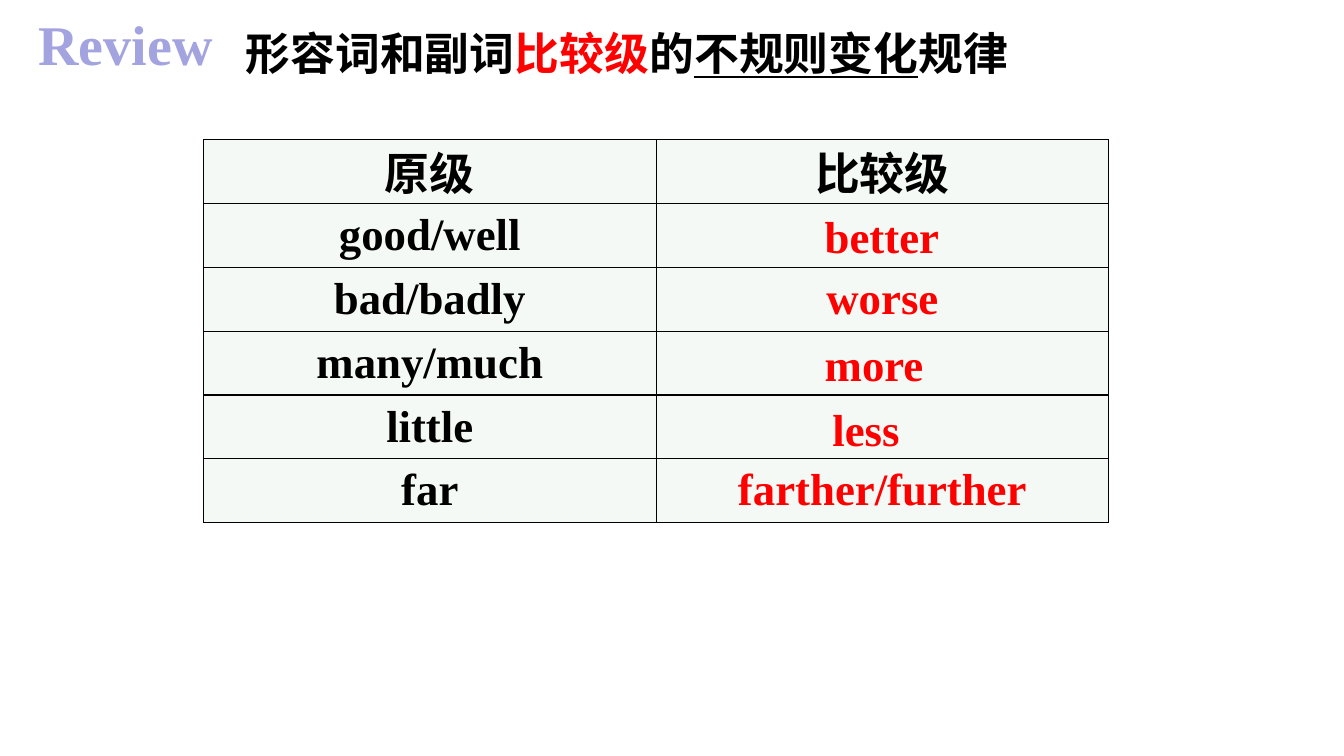
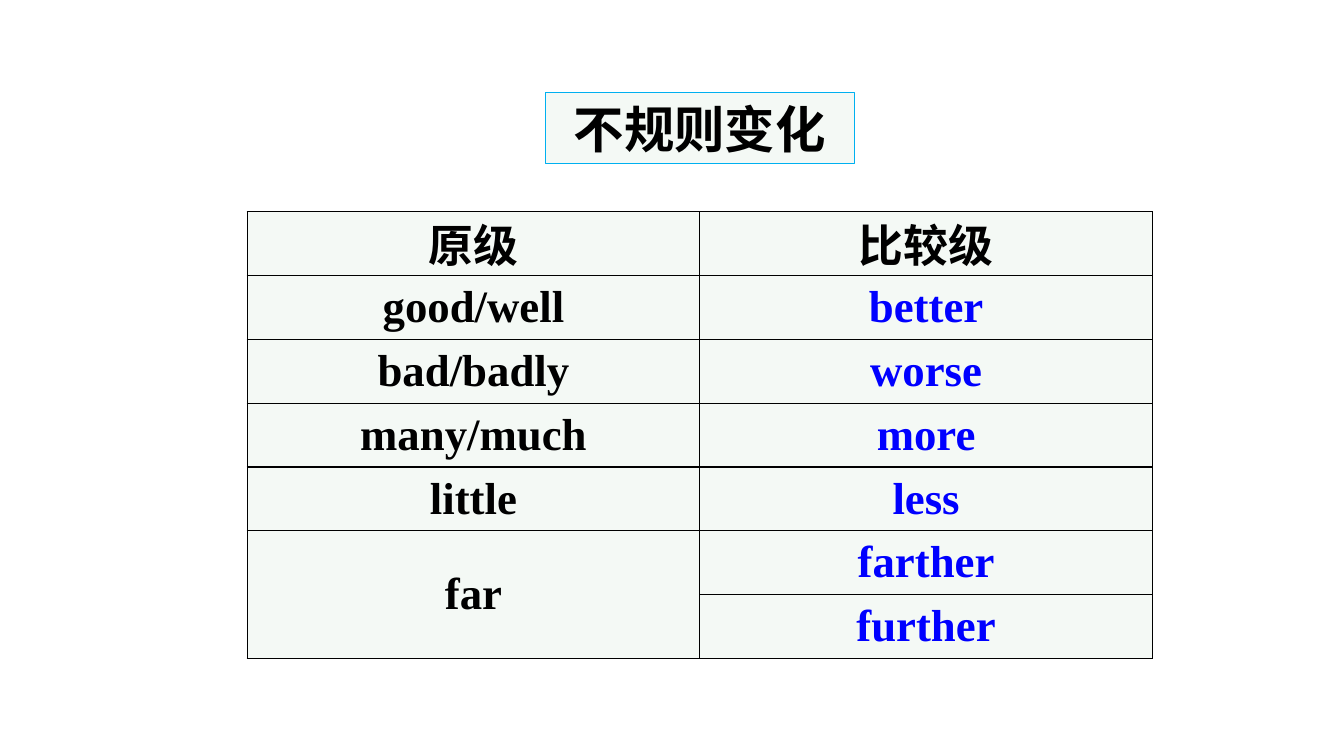
from dataclasses import dataclass
from pptx import Presentation
from pptx.dml.color import RGBColor as RGB
from pptx.enum.text import MSO_ANCHOR as ANCHOR, MSO_AUTO_SIZE as AUTO, PP_ALIGN as ALIGN
from pptx.oxml import parse_xml
from pptx.util import Pt

NS = 'xmlns:a="http://schemas.openxmlformats.org/drawingml/2006/main"'


# Colours, type sizes and table grid
@dataclass(frozen=True)
class Theme:
    font: str = "Times New Roman"
    black: str = "000000"
    red: str = "FF0000"
    blue: str = "0000FF"
    lilac: str = "A3A3E0"
    navy: str = "333399"
    pale: str = "F4F9F5"
    sky: str = "00B0F0"
    body: int = 32
    box: int = 36
    label: int = 40
    col: float = 323.3
    row: float = 45.6
    head_line: float = 36.8


T = Theme()


def line_xml(tag, color, width):
    return parse_xml(f'<a:{tag} {NS} w="{Pt(width)}"><a:solidFill>'
                     f'<a:srgbClr val="{color}"/></a:solidFill></a:{tag}>')


class Deck:
    def __init__(self):
        self.prs = Presentation()
        self.prs.slide_width, self.prs.slide_height = Pt(960), Pt(540)
        self.s = None

    def slide(self):
        self.s = self.prs.slides.add_slide(self.prs.slide_layouts[5])

    def run(self, p, text, color=T.black, size=T.body, underline=False):
        r = p.add_run()
        r.text = text
        f = r.font
        f.name, f.size, f.bold = T.font, Pt(size), True
        f.color.rgb = RGB.from_string(color)
        if underline:
            f.underline = True
        return r

    def frame(self, sp, runs, align, anchor, wrap=True):
        tf = sp.text_frame
        tf.word_wrap, tf.auto_size, tf.vertical_anchor = wrap, AUTO.NONE, anchor
        p = tf.paragraphs[0]
        p.alignment = align
        return [self.run(p, *args) for args in runs]

    def title(self, x, y, w, h, runs, align=ALIGN.LEFT):
        sp = self.s.shapes.title
        sp.left, sp.top, sp.width, sp.height = Pt(x), Pt(y), Pt(w), Pt(h)
        self.frame(sp, runs, align, ANCHOR.MIDDLE)
        return sp

    def text(self, x, y, w, h, runs, wrap=True):
        sp = self.s.shapes.add_textbox(Pt(x), Pt(y), Pt(w), Pt(h))
        return self.frame(sp, runs, ALIGN.LEFT, ANCHOR.TOP, wrap)

    def table(self, x, y, rows, accent):
        n = len(rows)
        tbl = self.s.shapes.add_table(n, 2, Pt(x), Pt(y), Pt(2 * T.col), Pt(n * T.row)).table
        for col in tbl.columns:
            col.width = Pt(T.col)
        for i, words in enumerate(rows):
            tbl.rows[i].height = Pt(T.row)
            for j, word in enumerate(words):
                cell = tbl.cell(i, j)
                self.cell(cell, word, accent if i and j else T.black)
                if i == 0:
                    # Fixed line height keeps the header as tall as the other rows
                    cell.margin_top, cell.margin_bottom = Pt(T.row - T.head_line), 0
                    cell.text_frame.paragraphs[0].line_spacing = Pt(T.head_line)
        return tbl

    def cell(self, cell, word, color):
        cell.fill.solid()
        cell.fill.fore_color.rgb = RGB.from_string(T.pale)
        cell.vertical_anchor = ANCHOR.MIDDLE
        p = cell.text_frame.paragraphs[0]
        p.alignment = ALIGN.CENTER
        if word:
            self.run(p, word, color)
        # Borders come before the fill
        for k, tag in enumerate(("lnL", "lnR", "lnT", "lnB")):
            cell._tc.tcPr.insert(k, line_xml(tag, T.black, 1))


HEAD = ("原级", "比较级")
BASE = ("good/well", "bad/badly", "many/much", "little", "far")


def review(d):
    d.slide()
    d.title(168.3, 14.3, 785.5, 46.1, [
        ("形容词和副词",), ("比较级", T.red), ("的",),
        ("不规则变化", T.black, T.body, True), ("规律",)])
    label, = d.text(20.5, 3.6, 231, 46.8, [("Review", T.lilac, T.label)], wrap=False)
    label.font._element.insert(0, line_xml("ln", T.navy, 1.75))
    answers = ("", "worse", "", "", "farther/further")
    d.table(145.4, 99.8, [HEAD, *zip(BASE, answers)], T.red)
    # Answers laid over the empty cells
    for word, x, y in (("better", 582, 145.5), ("more", 582, 237.2), ("less", 587.5, 283.6)):
        d.text(x, y, 131.8, 46.1, [(word, T.red)])


def summary(d):
    d.slide()
    box = d.title(389.3, 65.9, 221, 51.1, [("不规则变化", T.black, T.box)], ALIGN.CENTER)
    box.fill.solid()
    box.fill.fore_color.rgb = RGB.from_string(T.pale)
    box.line.color.rgb = RGB.from_string(T.sky)
    box.line.width = Pt(0.75)
    answers = ("better", "worse", "more", "less", "farther")
    tbl = d.table(176.6, 151.2, [HEAD, *zip(BASE, answers), ("", "further")], T.blue)
    tbl.cell(5, 0).merge(tbl.cell(6, 0))


def main():
    d = Deck()
    review(d)
    summary(d)
    d.prs.save("out.pptx")


if __name__ == "__main__":
    main()
